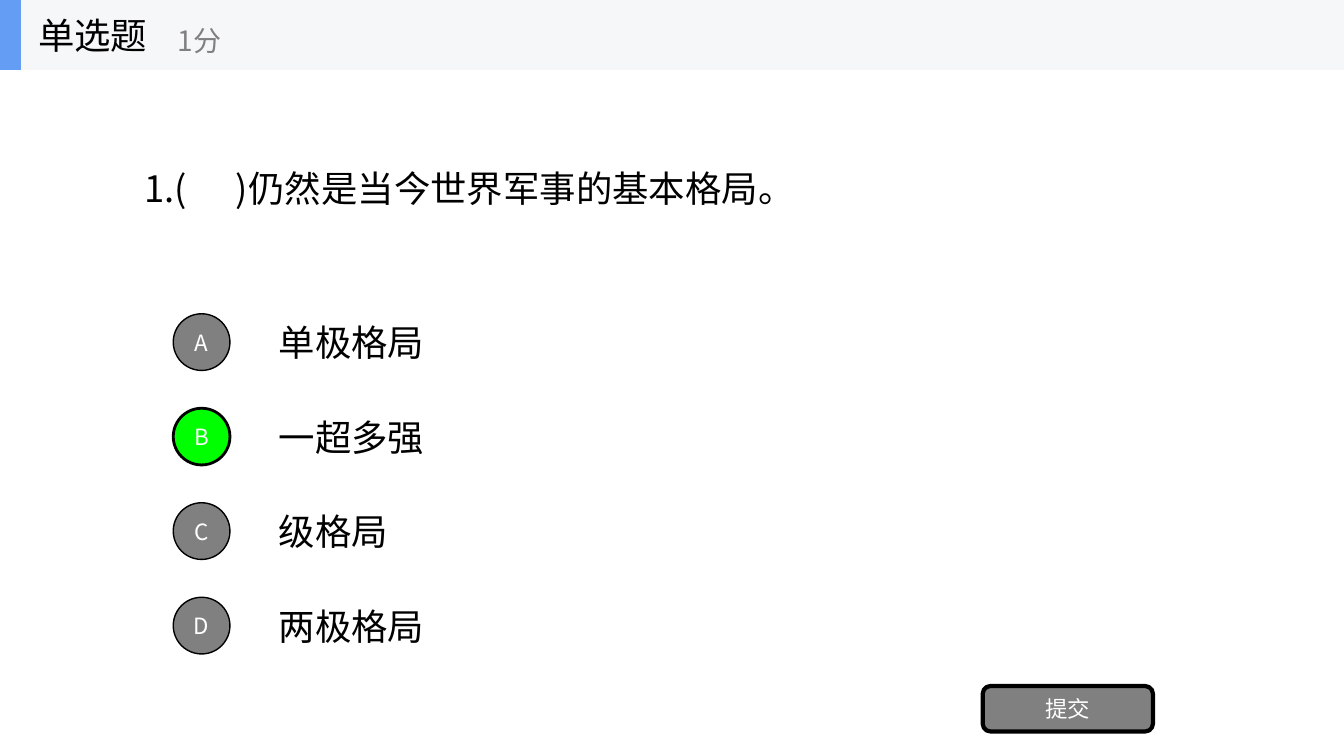
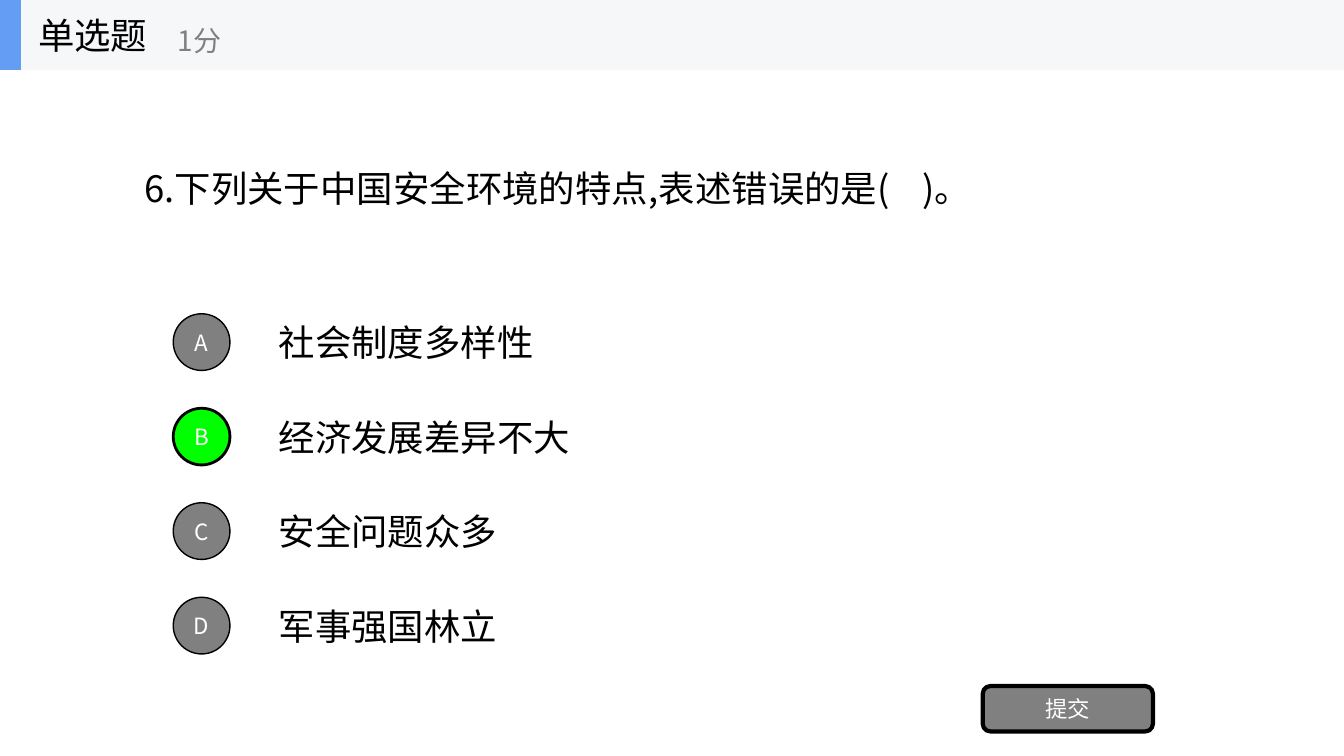
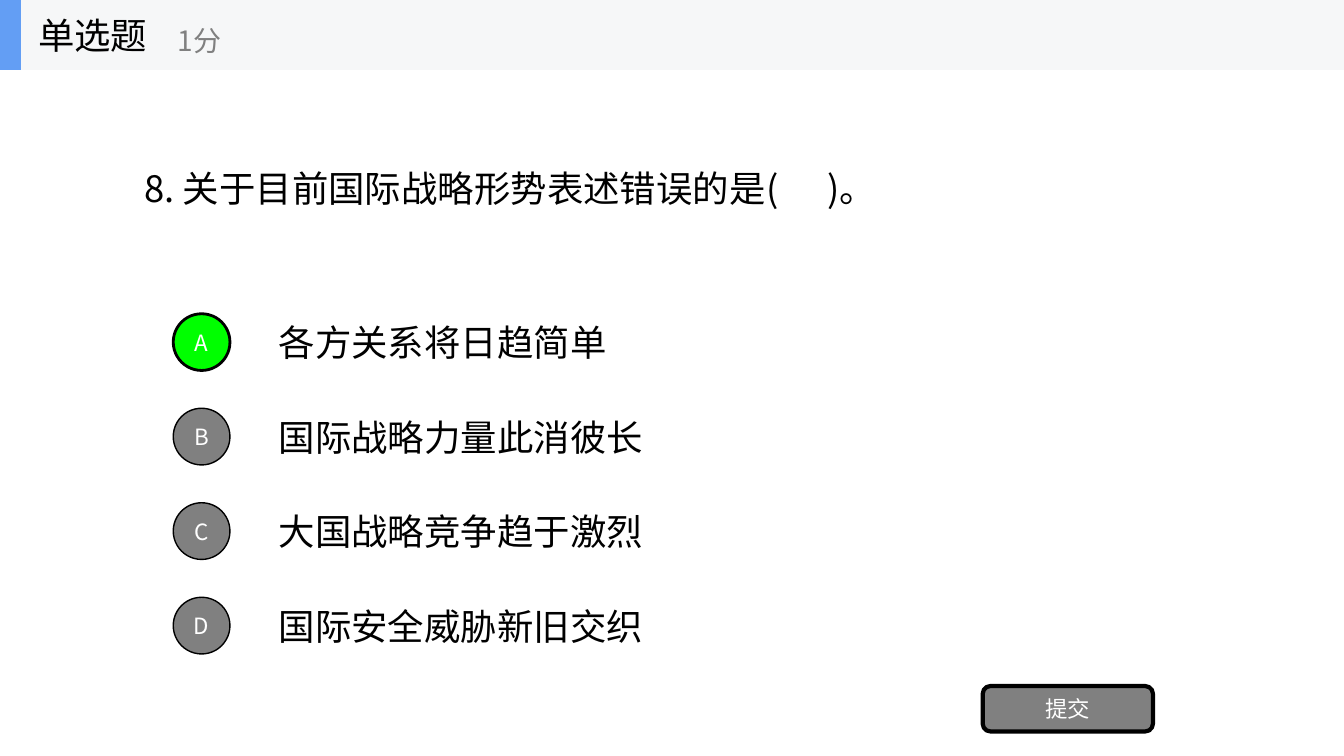
from lxml.etree import SubElement
from pptx import Presentation
from pptx.dml.color import RGBColor
from pptx.enum.shapes import MSO_SHAPE
from pptx.enum.text import MSO_ANCHOR, PP_ALIGN
from pptx.oxml.ns import qn
from pptx.util import Inches, Pt

FONT = "Noto Sans CJK SC"
BLACK, WHITE, GREY = "000000", "FFFFFF", "808080"
BAND, ACCENT, CORRECT = "F6F7F8", "639EF4", "00FF00"
BODY, POINTS, LABEL = 26, 20, 16

prs = Presentation()
prs.slide_width, prs.slide_height = Inches(13.33), Inches(7.5)
COL, ROW = prs.slide_width / 40, prs.slide_height / 8
HEAD = 0.74 * ROW
DOT = 0.6 * ROW
LINE = 0.565 * ROW

QUESTIONS = [
    ("1.(      )仍然是当今世界军事的基本格局。", 21.06, "B",
     ["单极格局", "一超多强", "级格局", "两极格局"]),
    ("6.下列关于中国安全环境的特点,表述错误的是(    )。", 25.78, "B",
     ["社会制度多样性", "经济发展差异不大", "安全问题众多", "军事强国林立"]),
    ("8. 关于目前国际战略形势表述错误的是(      )。", 23.22, "A",
     ["各方关系将日趋简单", "国际战略力量此消彼长", "大国战略竞争趋于激烈", "国际安全威胁新旧交织"]),
]


def write(sp, text, size, color, align=PP_ALIGN.LEFT):
    tf = sp.text_frame
    tf.word_wrap = True
    tf.vertical_anchor = MSO_ANCHOR.MIDDLE
    p = tf.paragraphs[0]
    p.text = text
    p.alignment = align
    p.font.size = Pt(size)
    p.font.name = FONT
    p.font.color.rgb = RGBColor.from_string(color)
    # East Asian glyphs need their own typeface entry
    SubElement(p._p.pPr.find(qn("a:defRPr")), qn("a:ea"), typeface=FONT)


def add(s, kind, left, mid, width, height, fill=None, line=0):
    """Add a shape, or a text box if kind is None, centred vertically on mid."""
    at = [round(v) for v in (left, mid - height / 2, width, height)]
    if kind is None:
        return s.shapes.add_textbox(*at)
    sp = s.shapes.add_shape(kind, *at)
    sp.shadow.inherit = False
    sp.fill.solid()
    sp.fill.fore_color.rgb = RGBColor.from_string(fill)
    if line:
        sp.line.color.rgb = RGBColor.from_string(BLACK)
        sp.line.width = Pt(line)
    else:
        sp.line.fill.background()
    return sp


for question, cols, answer, options in QUESTIONS:
    s = prs.slides.add_slide(prs.slide_layouts[6])

    # Header
    add(s, MSO_SHAPE.RECTANGLE, 0, HEAD / 2, prs.slide_width, HEAD, BAND)
    add(s, MSO_SHAPE.RECTANGLE, 0, HEAD / 2, 0.62 * COL, HEAD, ACCENT)
    write(add(s, None, 0.84 * COL, HEAD / 2, 6.25 * COL, HEAD), "单选题", BODY, BLACK)
    write(add(s, None, 5 * COL, 0.43 * ROW, 7.5 * COL, 0.6 * ROW), "1分", POINTS, GREY)

    # Question and options
    write(add(s, None, 4 * COL, 1.99 * ROW, cols * COL, LINE), question, BODY, BLACK)
    for i, (letter, option) in enumerate(zip("ABCD", options)):
        mid = (3.62 + i) * ROW
        width = Inches(0.31) + len(option) * Pt(BODY)
        write(add(s, None, 8 * COL, mid, width, LINE), option, BODY, BLACK)
        fill, line = (CORRECT, 2) if letter == answer else (GREY, 1)
        dot = add(s, MSO_SHAPE.OVAL, 6 * COL - DOT / 2, mid, DOT, DOT, fill, line)
        write(dot, letter, LABEL, WHITE, PP_ALIGN.CENTER)

    button = add(s, MSO_SHAPE.ROUNDED_RECTANGLE, 29.25 * COL, 7.5 * ROW,
                 1.8 * ROW, 0.48 * ROW, GREY, 3)
    write(button, "提交", LABEL, WHITE, PP_ALIGN.CENTER)

prs.save("out.pptx")
